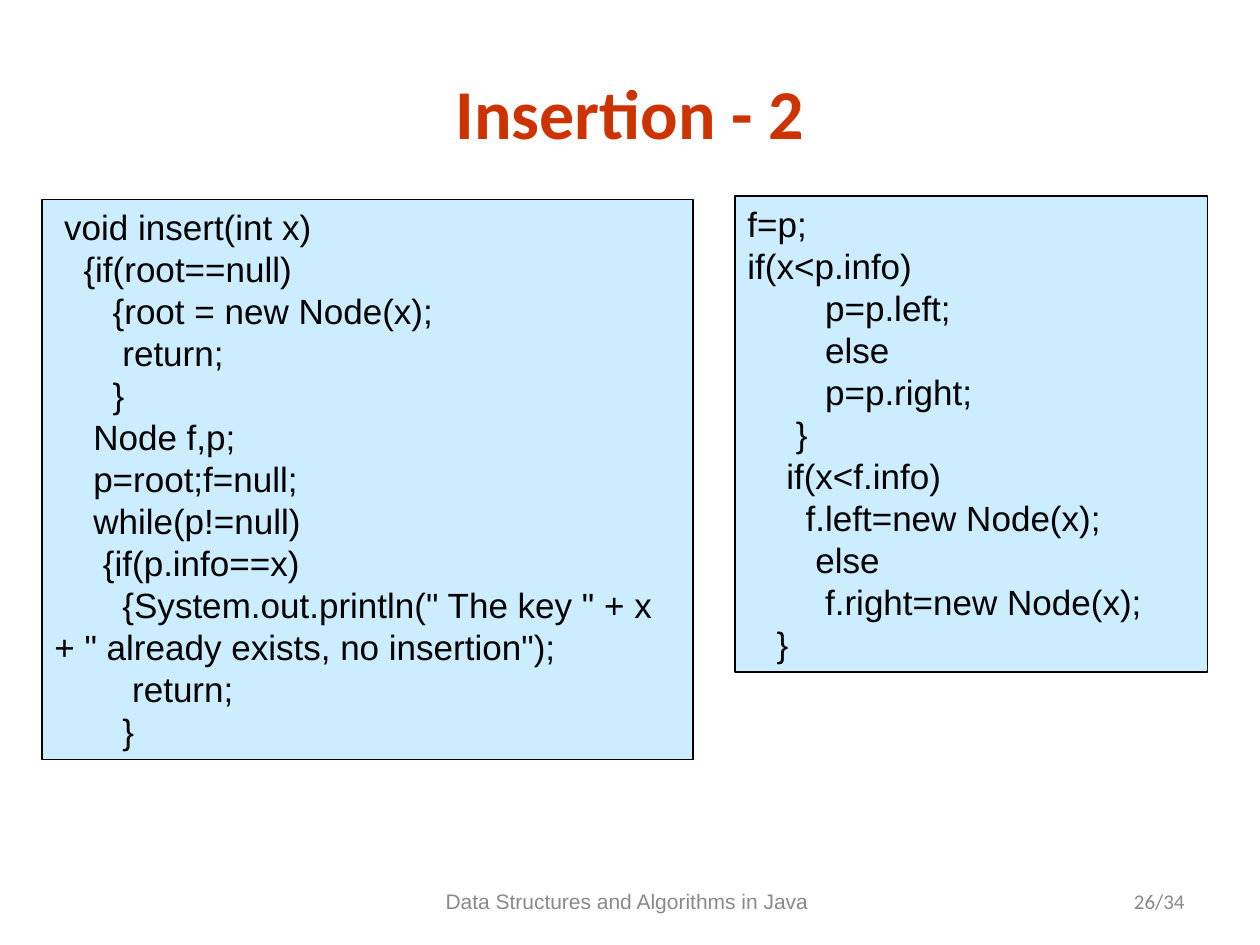
from dataclasses import dataclass
from pptx import Presentation
from pptx.dml.color import RGBColor as Rgb
from pptx.enum.shapes import MSO_SHAPE as Shape
from pptx.enum.text import MSO_ANCHOR as Anchor, MSO_AUTO_SIZE as Auto, PP_ALIGN as Align
from pptx.util import Pt


@dataclass(frozen=True)
class Theme:
    """Colours, fonts and type sizes of the slide."""
    title: Rgb = Rgb(0xCC, 0x33, 0x00)
    ink: Rgb = Rgb(0, 0, 0)
    panel: Rgb = Rgb(0xCC, 0xEC, 0xFF)
    muted: Rgb = Rgb(0x89, 0x89, 0x89)
    head: str = "Calibri"
    body: str = "Arial"
    big: int = 40
    code: int = 20
    small: int = 12


THEME = Theme()

LEFT = """ void insert(int x)
   {if(root==null)
      {root = new Node(x);
       return;
      }
    Node f,p;
    p=root;f=null;
    while(p!=null)
     {if(p.info==x)
       {System.out.println(" The key " + x + " already exists, no insertion");
        return;
       }"""

RIGHT = """f=p;
if(x<p.info)
        p=p.left;
        else
        p=p.right;
     }
    if(x<f.info)
      f.left=new Node(x);
       else
        f.right=new Node(x);
   }"""


def write(frame, text, face, size, color, align, bold=False):
    """Fill a text frame and format all of its runs."""
    frame.text = text
    frame.word_wrap = True
    for para in frame.paragraphs:
        para.alignment = align
        for run in para.runs:
            font = run.font
            font.name, font.size, font.bold = face, Pt(size), bold
            font.color.rgb = color


def add_title(slide, box, text):
    """Place the title placeholder in the box."""
    title = slide.shapes.title
    title.left, title.top, title.width, title.height = map(Pt, box)
    frame = title.text_frame
    write(frame, text, THEME.head, THEME.big, THEME.title, Align.CENTER, True)
    frame.auto_size = Auto.NONE
    frame.vertical_anchor = Anchor.MIDDLE


def add_code(slide, box, text):
    """Draw a framed panel of code in the box."""
    panel = slide.shapes.add_shape(Shape.RECTANGLE, *map(Pt, box))
    panel.shadow.inherit = False
    panel.fill.solid()
    panel.fill.fore_color.rgb = THEME.panel
    panel.line.color.rgb = THEME.ink
    panel.line.width = Pt(0.75)
    frame = panel.text_frame
    write(frame, text, THEME.body, THEME.code, THEME.ink, Align.LEFT)
    frame.vertical_anchor = Anchor.TOP


def add_note(slide, box, text, face, align):
    """Place one small footer text in the box."""
    frame = slide.shapes.add_textbox(*map(Pt, box)).text_frame
    write(frame, text, face, THEME.small, THEME.muted, align)
    frame.vertical_anchor = Anchor.MIDDLE


def main():
    """Build the slide and save it."""
    deck = Presentation()
    deck.slide_width, deck.slide_height = Pt(720), Pt(540)
    slide = deck.slides.add_slide(deck.slide_layouts[5])
    add_title(slide, (114, 36, 492, 55.5), "Insertion - 2")
    add_code(slide, (24, 114, 372, 320), LEFT)
    add_code(slide, (420, 112, 270, 272), RIGHT)
    add_note(slide, (228, 500.5, 264, 28.75),
             "Data Structures and Algorithms in Java ", THEME.body, Align.CENTER)
    add_note(slide, (516, 500.5, 168, 28.75), "26/34", THEME.head, Align.RIGHT)
    deck.save("out.pptx")


if __name__ == "__main__":
    main()
